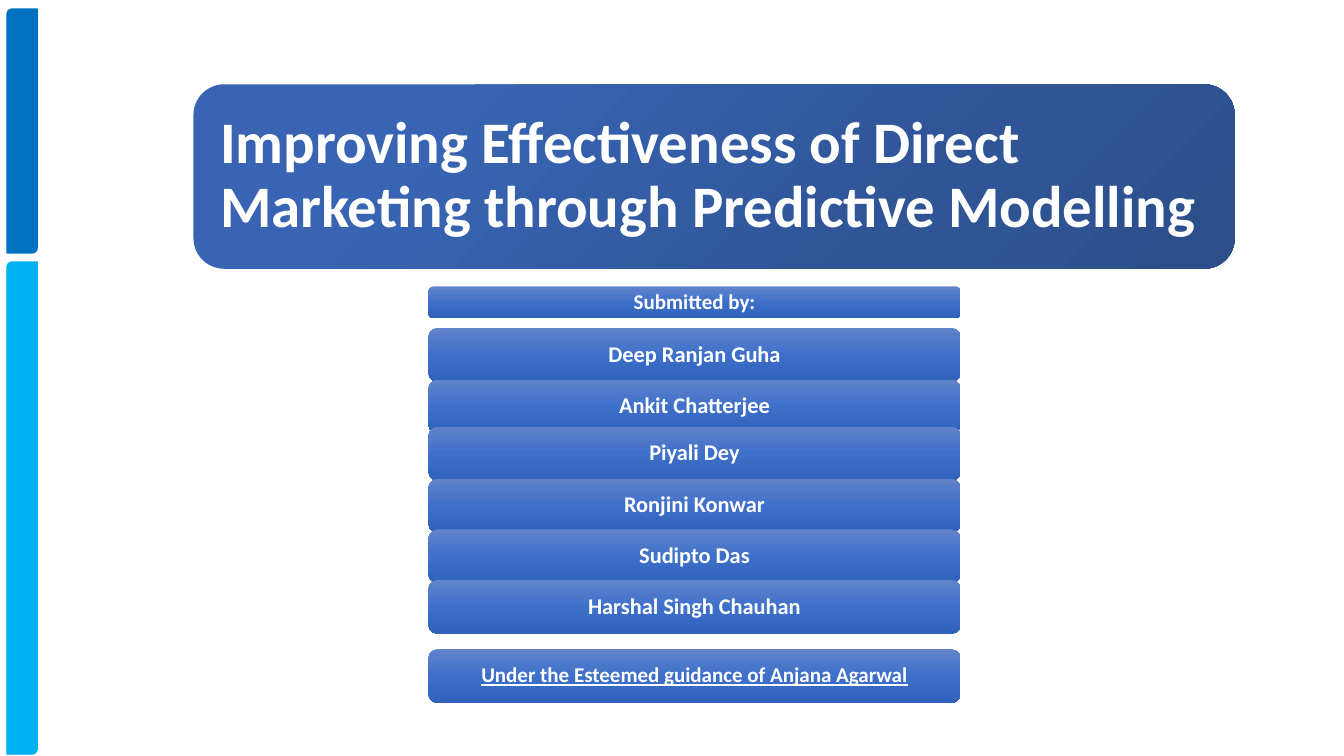
"""Build the title slide of a direct marketing project."""
import pptx
import pptx.dml.color
import pptx.enum.shapes
import pptx.enum.text
import pptx.oxml
import pptx.oxml.ns
import pptx.util
from lxml import etree

Pt = pptx.util.Pt
MSO_SHAPE = pptx.enum.shapes.MSO_SHAPE
ALIGN = pptx.enum.text.PP_ALIGN

COLOURS = {
    "upper_bar": "0070C0",
    "lower_bar": "00B0F0",
    "text": "FFFFFF",
    "title_light": "3864B3",
    "title_mid": "2F5597",
    "title_dark": "2C4F8C",
    "banner_light": "6183CB",
    "banner_mid": "3E70CA",
    "banner_dark": "3062BB",
}
TITLE_STOPS = [(0, "title_light"), (23, "title_light"), (69, "title_mid"), (97, "title_dark")]
BANNER_STOPS = [(0, "banner_light"), (50, "banner_mid"), (100, "banner_dark")]
BANNER_LEFT, BANNER_WIDTH, BANNER_HEIGHT = 306, 380.2, 38.4
MEMBERS = [
    (234.2, "Deep Ranjan Guha"),
    (271.2, "Ankit Chatterjee"),
    (304.8, "Piyali Dey"),
    (342, "Ronjini Konwar"),
    (378.2, "Sudipto Das"),
    (414.2, "Harshal Singh Chauhan"),
]


def colour(name):
    """Return the named colour."""
    return pptx.dml.color.RGBColor.from_string(COLOURS[name])


def add_panel(slide, kind, left, top, width, height):
    """Add a preset shape without shadow."""
    shape = slide.shapes.add_shape(kind, Pt(left), Pt(top), Pt(width), Pt(height))
    shape.shadow.inherit = False
    return shape


def add_side_bar(slide, top, height, name):
    """Add a coloured bar at the left edge."""
    shape = add_panel(slide, MSO_SHAPE.ROUND_2_DIAG_RECTANGLE, 5, top, 21.6, height)
    shape.fill.solid()
    shape.fill.fore_color.rgb = colour(name)
    shape.line.color.rgb = colour(name)
    shape.line.width = Pt(1)


def set_gradient(shape, stops, angle):
    """Fill the shape with a linear gradient, its angle counted clockwise."""
    qn = pptx.oxml.ns.qn
    shape.fill.gradient()
    shape.fill.gradient_angle = 360 - angle
    stop_list = shape.element.spPr.find(".//" + qn("a:gsLst"))
    for stop in list(stop_list):
        stop_list.remove(stop)
    for position, name in stops:
        stop = etree.SubElement(stop_list, qn("a:gs"), pos=str(position * 1000))
        etree.SubElement(stop, qn("a:srgbClr"), val=COLOURS[name])


def add_text(shape, text, size, alignment, insets, underline):
    """Write one bold white paragraph in the shape."""
    frame = shape.text_frame
    frame.word_wrap = True
    frame.vertical_anchor = pptx.enum.text.MSO_ANCHOR.MIDDLE
    frame.margin_left = frame.margin_right = Pt(insets[0])
    frame.margin_top = frame.margin_bottom = Pt(insets[1])
    paragraph = frame.paragraphs[0]
    paragraph.alignment = alignment
    paragraph.line_spacing = 0.9
    run = paragraph.add_run()
    run.text = text
    run.font.name = "Calibri"
    run.font.size = Pt(size)
    run.font.bold = True
    run.font.underline = underline
    run.font.color.rgb = colour("text")


def add_title(slide, text):
    """Add the large title panel."""
    shape = add_panel(slide, MSO_SHAPE.ROUNDED_RECTANGLE, 138.2, 60.2, 743.8, 131.8)
    shape.line.fill.background()
    set_gradient(shape, TITLE_STOPS, 45)
    add_text(shape, text, 42, ALIGN.LEFT, (12.6, 12.6), None)


def add_banner(slide, top, text, size=16, height=BANNER_HEIGHT, underline=None):
    """Add a centred banner."""
    shape = add_panel(slide, MSO_SHAPE.ROUNDED_RECTANGLE, BANNER_LEFT, top, BANNER_WIDTH, height)
    shape.line.fill.background()
    set_gradient(shape, BANNER_STOPS, 90)
    add_text(shape, text, size, ALIGN.CENTER, (4.8, 2.4), underline)


def main():
    """Build and save the slide."""
    presentation = pptx.Presentation()
    presentation.slide_width = Pt(960)
    presentation.slide_height = Pt(540)
    slide = presentation.slides.add_slide(presentation.slide_layouts[6])
    add_side_bar(slide, 6.5, 174.2, "upper_bar")
    add_side_bar(slide, 187.2, 351.4, "lower_bar")
    add_title(slide, "Improving Effectiveness of Direct Marketing through Predictive Modelling")
    add_banner(slide, 204.5, "Submitted by:", size=15, height=23)
    for top, member in MEMBERS:
        add_banner(slide, top, member)
    add_banner(slide, 463.7, "Under the Esteemed guidance of Anjana Agarwal", size=15, underline=True)
    presentation.save("out.pptx")


if __name__ == "__main__":
    main()
